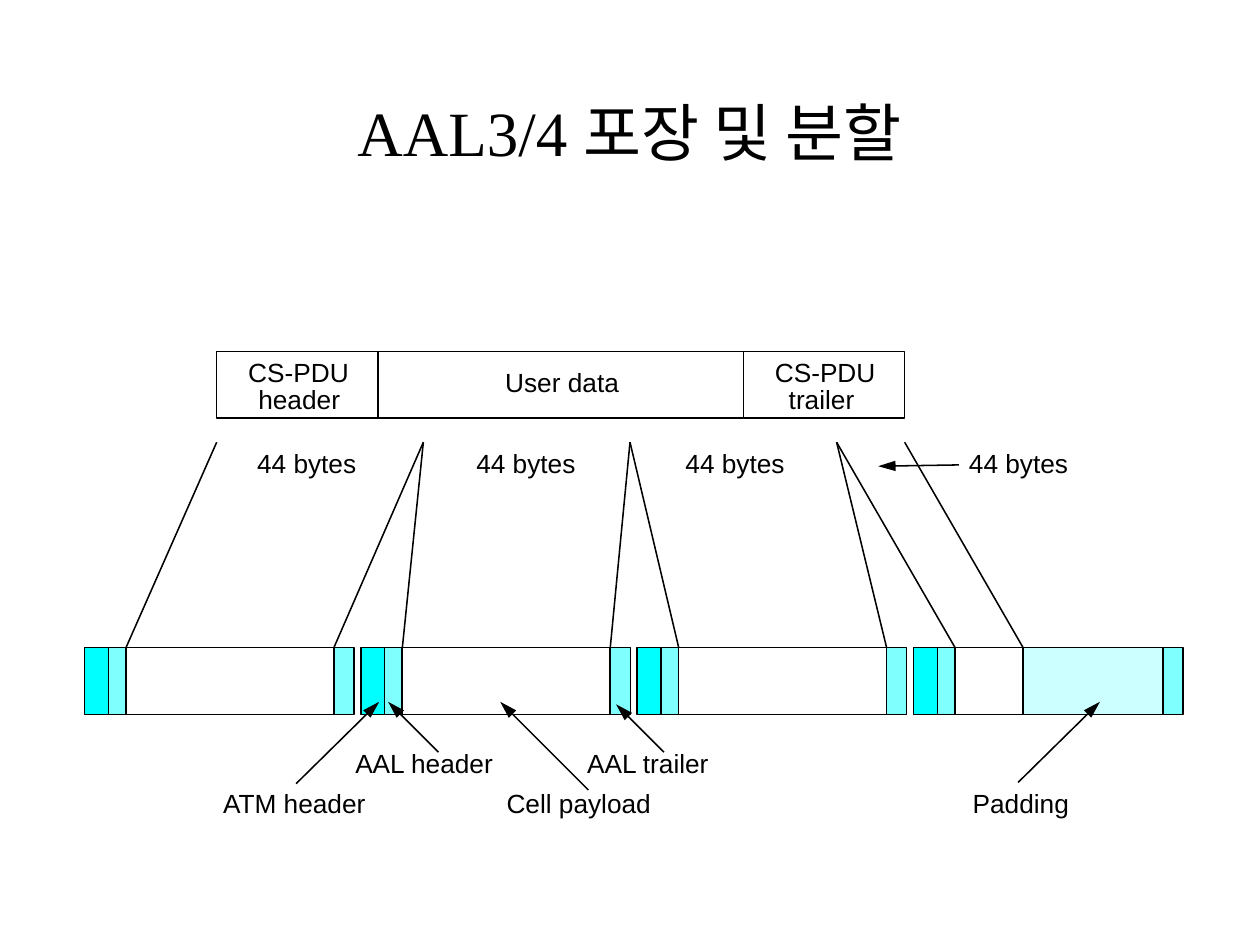
from typing import NamedTuple, Optional

from lxml.etree import SubElement
from pptx import Presentation
from pptx.dml.color import RGBColor
from pptx.enum.shapes import MSO_CONNECTOR, MSO_SHAPE
from pptx.enum.text import MSO_ANCHOR, MSO_AUTO_SIZE, PP_ALIGN
from pptx.oxml.ns import qn
from pptx.util import Inches, Pt

COLORS = {
    "ink": "000000",
    "atm_header": "00FFFF",
    "aal": "80FFFF",
    "padding": "CCFFFF",
}
LINE_WIDTH = Pt(0.88)
BLOCK_HEIGHT = 0.53
PDU_TOP = 2.79
FAN_TOP = 3.51
CELL_TOP = 5.14
CELL_COUNT = 4
FIRST_CELL, LAST_CELL = 0.67, 7.25
CELL_PITCH = (LAST_CELL - FIRST_CELL) / (CELL_COUNT - 1)
CHUNK_WIDTH = 1.64  # 44 bytes of the CS-PDU
LABEL_SLACK = 0.03  # keeps each label on one line


class Segment(NamedTuple):
    width: float
    fill: Optional[str] = None


class Label(NamedTuple):
    text: str
    left: float
    top: float
    width: float


class Arrow(NamedTuple):
    start: tuple[float, float]
    tip: tuple[float, float]


PDU_LEFT = 1.72
PDU_SEGMENTS = [Segment(1.28), Segment(2.9), Segment(1.28)]
PDU_RIGHT = PDU_LEFT + sum(segment.width for segment in PDU_SEGMENTS)

HEADERS = [Segment(0.19, "atm_header"), Segment(0.14, "aal")]
TRAILER = Segment(0.16, "aal")
FULL_PAYLOAD = [Segment(1.65)]
PADDED_PAYLOAD = [Segment(0.54), Segment(1.11, "padding")]

LABELS = [
    Label("CS-PDU", 1.97, 2.83, 0.8),
    Label("header", 2.05, 3.04, 0.65),
    Label("User data", 4.01, 2.91, 0.9),
    Label("CS-PDU", 6.15, 2.83, 0.8),
    Label("trailer", 6.26, 3.04, 0.52),
    *[Label("44 bytes", left, 3.55, 0.79) for left in (2.04, 3.78, 5.44, 7.69)],
    Label("ATM header", 1.77, 6.25, 1.15),
    Label("AAL header", 2.82, 5.93, 1.1),
    Label("Cell payload", 4.02, 6.25, 1.15),
    Label("AAL trailer", 4.66, 5.93, 0.97),
    Label("Padding", 7.72, 6.25, 0.77),
]

ARROWS = [
    Arrow((7.61, 3.69), (6.97, 3.7)),
    Arrow((2.35, 6.22), (3.01, 5.57)),
    Arrow((8.08, 6.21), (8.73, 5.57)),
    Arrow((3.48, 5.97), (3.08, 5.57)),
    Arrow((4.67, 6.27), (3.97, 5.57)),
    Arrow((5.27, 5.97), (4.89, 5.59)),
]


def color(name: str) -> RGBColor:
    return RGBColor.from_string(COLORS[name])


def write_text(frame, text: str, *, font: str = "Arial", size: float = 15,
               align=PP_ALIGN.LEFT) -> None:
    paragraph = frame.paragraphs[0]
    paragraph.alignment = align
    run = paragraph.add_run()
    run.text = text
    run.font.name = font
    run.font.size = Pt(size)
    run.font.color.rgb = color("ink")


def add_title(slide, text: str) -> None:
    title = slide.shapes.title
    title.left, title.top = Inches(0.58), Inches(0.5)
    title.width, title.height = Inches(8.83), Inches(1.08)
    title.text_frame.vertical_anchor = MSO_ANCHOR.MIDDLE
    write_text(title.text_frame, text, font="Times New Roman", size=36,
               align=PP_ALIGN.CENTER)


def add_label(slide, label: Label) -> None:
    box = slide.shapes.add_textbox(
        Inches(label.left), Inches(label.top),
        Inches(label.width + LABEL_SLACK), Inches(0.25))
    frame = box.text_frame
    frame.margin_left = frame.margin_right = 0
    frame.margin_top = frame.margin_bottom = 0
    frame.word_wrap = False
    frame.auto_size = MSO_AUTO_SIZE.NONE
    write_text(frame, label.text)


def add_block_row(slide, left: float, top: float, segments: list[Segment]) -> None:
    """Draw the segments side by side, starting at left."""
    for segment in segments:
        shape = slide.shapes.add_shape(
            MSO_SHAPE.RECTANGLE, Inches(left), Inches(top),
            Inches(segment.width), Inches(BLOCK_HEIGHT))
        shape.shadow.inherit = False
        if segment.fill:
            shape.fill.solid()
            shape.fill.fore_color.rgb = color(segment.fill)
        else:
            shape.fill.background()
        shape.line.color.rgb = color("ink")
        shape.line.width = LINE_WIDTH
        left += segment.width


def add_line(slide, start: tuple[float, float], end: tuple[float, float],
             arrowhead: bool = False) -> None:
    connector = slide.shapes.add_connector(
        MSO_CONNECTOR.STRAIGHT, *map(Inches, start), *map(Inches, end))
    connector.line.color.rgb = color("ink")
    connector.line.width = LINE_WIDTH
    if arrowhead:
        SubElement(connector.line._get_or_add_ln(), qn("a:tailEnd"),
                   type="triangle", w="med", len="lg")
    SubElement(connector._element.spPr, qn("a:effectLst"))


def add_cell(slide, index: int) -> None:
    """Draw one ATM cell and the lines joining its data to its CS-PDU chunk."""
    payload = PADDED_PAYLOAD if index == CELL_COUNT - 1 else FULL_PAYLOAD
    left = FIRST_CELL + index * CELL_PITCH
    add_block_row(slide, left, CELL_TOP, [*HEADERS, *payload, TRAILER])

    data_left = left + sum(segment.width for segment in HEADERS)
    data_right = data_left + payload[0].width
    chunk_left = PDU_LEFT + index * CHUNK_WIDTH
    chunk_right = min(chunk_left + CHUNK_WIDTH, PDU_RIGHT)
    add_line(slide, (data_left, CELL_TOP), (chunk_left, FAN_TOP))
    add_line(slide, (data_right, CELL_TOP), (chunk_right, FAN_TOP))


def main() -> None:
    presentation = Presentation()
    presentation.slide_width, presentation.slide_height = Inches(10), Inches(7.5)
    slide = presentation.slides.add_slide(
        presentation.slide_layouts.get_by_name("Title Only"))

    add_title(slide, "AAL3/4 포장 및 분할")
    add_block_row(slide, PDU_LEFT, PDU_TOP, PDU_SEGMENTS)
    for index in range(CELL_COUNT):
        add_cell(slide, index)
    for label in LABELS:
        add_label(slide, label)
    for arrow in ARROWS:
        add_line(slide, arrow.start, arrow.tip, arrowhead=True)

    presentation.save("out.pptx")


if __name__ == "__main__":
    main()
